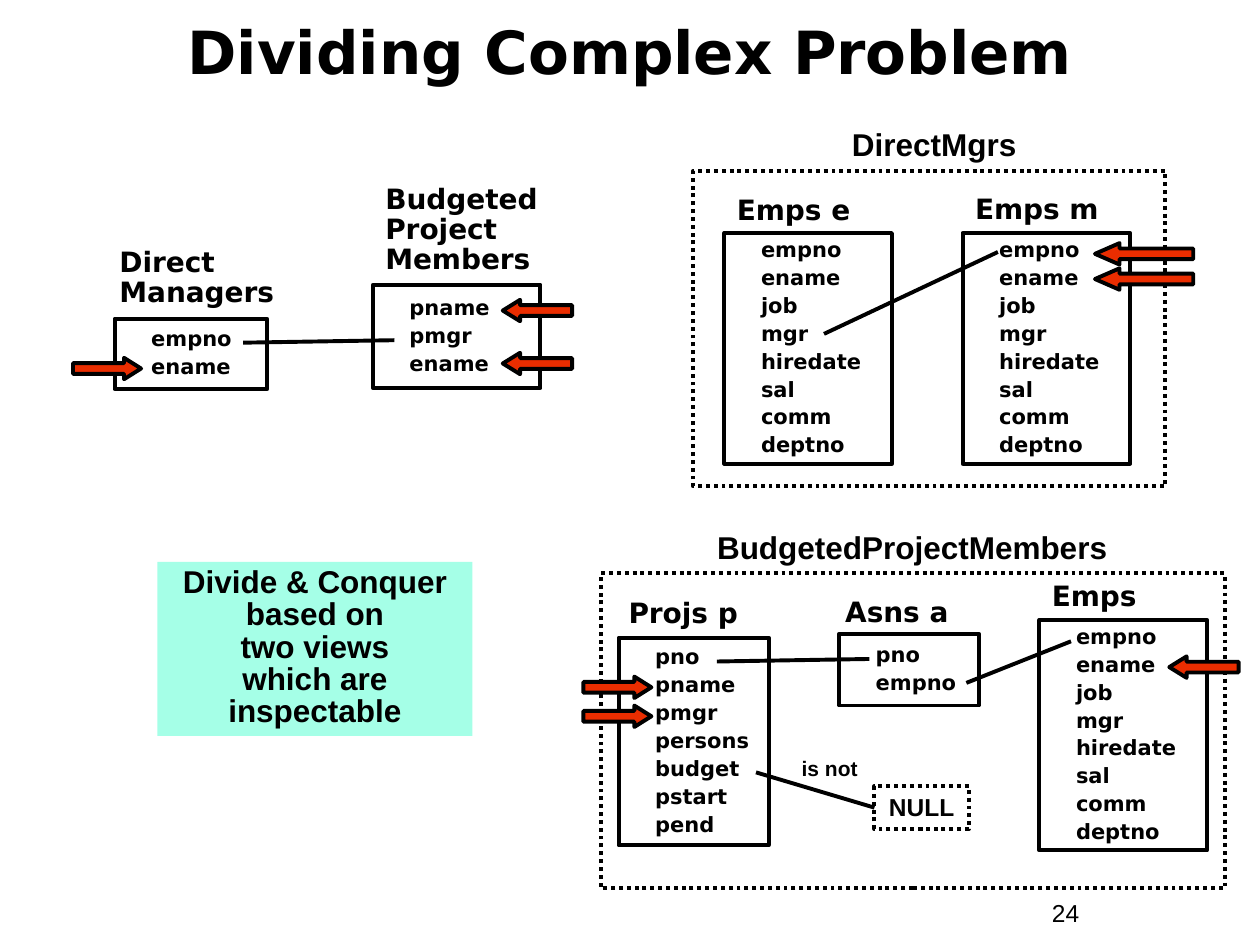
from pptx import Presentation
from pptx.dml.color import RGBColor
from pptx.enum import dml, shapes, text
from pptx.oxml.ns import qn
from pptx.util import Inches, Pt
from lxml import etree

BLACK, RED, MINT = "000000", "EA2D00", "A5FFE7"
SANS, ARIAL = "DejaVu Sans", "Arial"
LEFT, CENTER = text.PP_ALIGN.LEFT, text.PP_ALIGN.CENTER


def color(value):
    return RGBColor.from_string(value)


def write(shape, paragraphs, size, face, align=LEFT, spacing=0.9, bold=True, before=0):
    frame = shape.text_frame
    frame.word_wrap = True
    frame.text = "\n".join(paragraphs)
    for paragraph in frame.paragraphs:
        paragraph.alignment = align
        paragraph.line_spacing = spacing
        paragraph.space_before = Pt(before)
        paragraph.font.size = Pt(size)
        paragraph.font.name = face
        paragraph.font.bold = bold
        paragraph.font.color.rgb = color(BLACK)


prs = Presentation()
prs.slide_width, prs.slide_height = Inches(10), Inches(7.5)
slide = prs.slides.add_slide(prs.slide_layouts[6])
RECTANGLE = shapes.MSO_SHAPE.RECTANGLE

captions = [
    ("24", 8.25, 7.08, 0.92, 0.34, 14, ARIAL, LEFT, 1.0, False),
    ("Dividing Complex Problem", 0.25, 0.14, 9.5, 0.61, 34, SANS, CENTER, 0.85, True),
    ("is not", 6.17, 5.98, 0.83, 0.27, 12, ARIAL, CENTER, 0.85, True),
    ("DirectMgrs", 6.25, 0.99, 2.33, 0.36, 18, ARIAL, CENTER, 0.85, True),
    ("BudgetedProjectMembers", 5.57, 4.19, 3.34, 0.36, 18, ARIAL, CENTER, 0.85, True),
    ("Direct\vManagers", 0.85, 1.92, 1.53, 0.58, 16, SANS, LEFT, 0.9, True),
    ("Budgeted\vProject\vMembers", 2.96, 1.42, 1.44, 0.82, 16, SANS, LEFT, 0.9, True),
    ("Projs p", 4.89, 4.71, 1.36, 0.34, 16, SANS, LEFT, 0.9, True),
    ("Asns a", 6.61, 4.7, 1.36, 0.34, 16, SANS, LEFT, 0.9, True),
    ("Emps e", 5.75, 1.51, 1.36, 0.34, 16, SANS, LEFT, 0.9, True),
    ("Emps m", 7.64, 1.5, 1.36, 0.34, 16, SANS, LEFT, 0.9, True),
    ("Emps", 8.25, 4.57, 1.36, 0.34, 16, SANS, LEFT, 0.9, True),
]
for words, x, y, w, h, size, face, align, spacing, bold in captions:
    caption = slide.shapes.add_textbox(Inches(x), Inches(y), Inches(w), Inches(h))
    write(caption, [words], size, face, align, spacing, bold)
    if size == 34:
        caption.text_frame.vertical_anchor = text.MSO_ANCHOR.MIDDLE

emps_columns = ["empno", "ename", "job", "mgr", "hiredate", "sal", "comm", "deptno"]
projs_columns = ["pno", "pname", "pmgr", "persons", "budget", "pstart", "pend"]
relations = [
    (4.91, 5.06, 1.19, 1.65, projs_columns),
    (5.75, 1.85, 1.33, 1.83, emps_columns),
    (7.64, 1.85, 1.33, 1.83, emps_columns),
    (6.66, 5.03, 1.11, 0.57, ["pno", "empno"]),
    (8.25, 4.92, 1.33, 1.83, emps_columns),
    (0.91, 2.53, 1.21, 0.56, ["empno", "ename"]),
    (2.96, 2.26, 1.33, 0.82, ["pname", "pmgr", "ename"]),
]
for x, y, w, h, columns in relations:
    relation = slide.shapes.add_shape(RECTANGLE, Inches(x), Inches(y), Inches(w), Inches(h))
    relation.shadow.inherit = False
    relation.fill.background()
    relation.line.color.rgb = color(BLACK)
    relation.line.width = Pt(2.25)
    write(relation, columns, 12, SANS, before=3)
    relation.text_frame.vertical_anchor = text.MSO_ANCHOR.MIDDLE
    relation.text_frame.margin_left = Inches(0.29)
    relation.text_frame.margin_right = 0

dotted_boxes = [(5.5, 1.36, 3.75, 2.5), (4.77, 4.55, 4.95, 2.5), (6.94, 6.24, 0.75, 0.34)]
for x, y, w, h in dotted_boxes:
    dotted = slide.shapes.add_shape(RECTANGLE, Inches(x), Inches(y), Inches(w), Inches(h))
    dotted.shadow.inherit = False
    dotted.fill.background()
    dotted.line.color.rgb = color(BLACK)
    dotted.line.width = Pt(2.25)
    dotted.line.dash_style = dml.MSO_LINE.ROUND_DOT
null_value = dotted
write(null_value, ["NULL"], 14, ARIAL, CENTER, 1.0)
null_value.text_frame.vertical_anchor = text.MSO_ANCHOR.TOP

joins = [
    (6.54, 2.65, 7.92, 2),
    (5.69, 5.25, 6.9, 5.23),
    (7.67, 5.42, 8.5, 5.09),
    (1.93, 2.72, 3.13, 2.7),
    (6, 6.13, 6.94, 6.41),
]
for x1, y1, x2, y2 in joins:
    join = slide.shapes.add_connector(
        shapes.MSO_CONNECTOR.STRAIGHT, Inches(x1), Inches(y1), Inches(x2), Inches(y2))
    join.line.color.rgb = color(BLACK)
    join.line.width = Pt(2.25)
    etree.SubElement(join._element.spPr, qn("a:effectLst"))
null_join = join
null_join.end_connect(null_value, 1)

RIGHTWARD, LEFTWARD = shapes.MSO_SHAPE.RIGHT_ARROW, shapes.MSO_SHAPE.LEFT_ARROW
selected_columns = [
    (LEFTWARD, 8.69, 1.93, 0.78),
    (LEFTWARD, 8.69, 2.13, 0.78),
    (RIGHTWARD, 4.63, 5.37, 0.54),
    (RIGHTWARD, 4.63, 5.6, 0.54),
    (LEFTWARD, 9.28, 5.21, 0.55),
    (LEFTWARD, 3.99, 2.38, 0.55),
    (LEFTWARD, 3.99, 2.8, 0.55),
    (RIGHTWARD, 0.58, 2.84, 0.54),
]
for direction, x, y, length in selected_columns:
    pointer = slide.shapes.add_shape(
        direction, Inches(x), Inches(y), Inches(length), Inches(0.17))
    pointer.adjustments[1] = length / 4 / 0.17
    pointer.shadow.inherit = False
    pointer.fill.solid()
    pointer.fill.fore_color.rgb = color(RED)
    pointer.line.color.rgb = color(BLACK)
    pointer.line.width = Pt(2.25)

advice = slide.shapes.add_shape(RECTANGLE, Inches(1.25), Inches(4.46), Inches(2.5), Inches(1.38))
advice.shadow.inherit = False
advice.fill.solid()
advice.fill.fore_color.rgb = color(MINT)
advice.line.fill.background()
write(advice, ["Divide & Conquer\vbased on\vtwo views\vwhich are\vinspectable"],
      18, ARIAL, CENTER, 0.85)
advice.text_frame.vertical_anchor = text.MSO_ANCHOR.TOP

prs.save("out.pptx")
